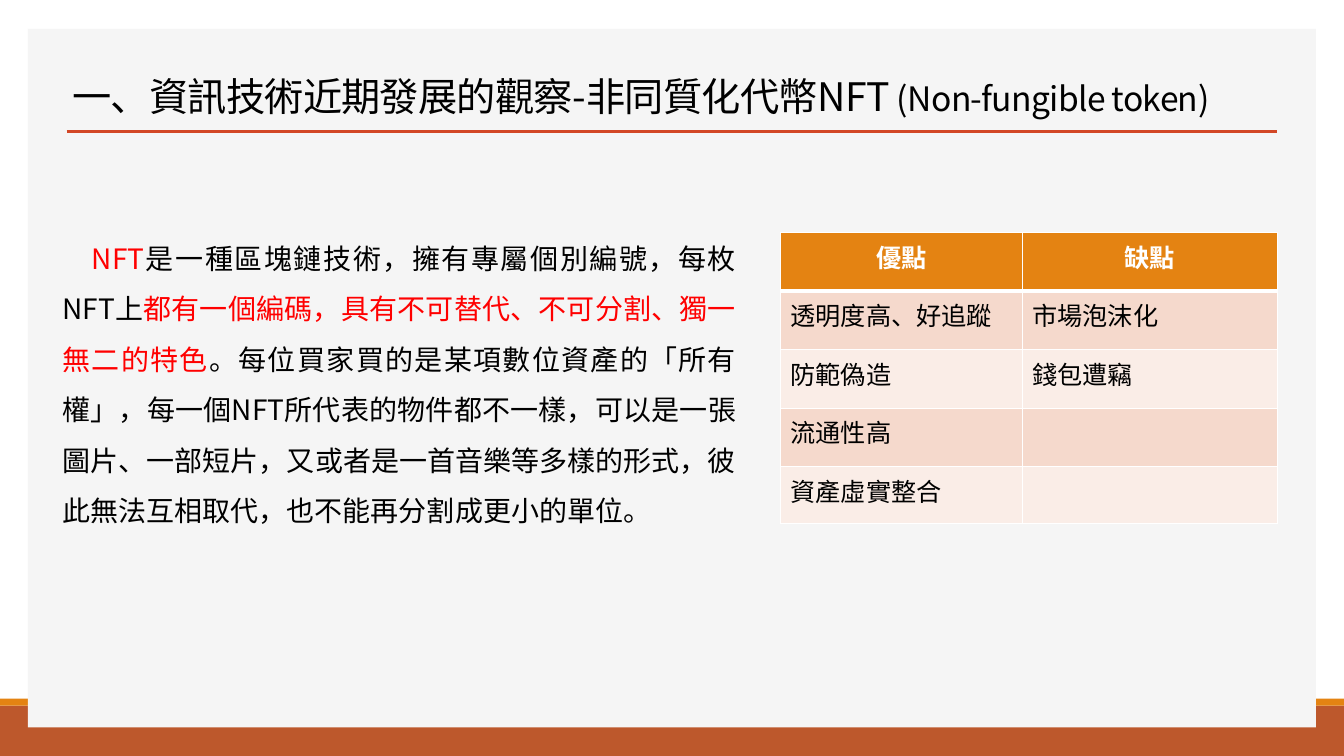
from lxml import etree
from pptx import Presentation
from pptx.dml.color import RGBColor
from pptx.enum.shapes import MSO_CONNECTOR, MSO_SHAPE
from pptx.enum.text import MSO_ANCHOR, MSO_AUTO_SIZE, PP_ALIGN
from pptx.oxml.ns import qn
from pptx.util import Pt

RECT = MSO_SHAPE.RECTANGLE
STRAIGHT = MSO_CONNECTOR.STRAIGHT
BOTTOM = MSO_ANCHOR.BOTTOM
NO_FIT = MSO_AUTO_SIZE.NONE
LEFT, CENTER, JUSTIFY = PP_ALIGN.LEFT, PP_ALIGN.CENTER, PP_ALIGN.JUSTIFY

WIDE, HIGH = 960, 540
SC, TC = "Noto Sans CJK SC", "Noto Sans CJK TC"
BLACK, WHITE, RED = "000000", "FFFFFF", "FF0000"
ORANGE, RUST, GRAY, RULE = "E48312", "BD582C", "F5F5F5", "D24726"
BANDS = ["F5D9CC", "FAEDE7"]

TITLE = [
    ("一、資訊技術近期發展的觀察-非同質化代幣NFT", 28, SC),
    (" (", 24, SC),
    ("Non-fungible token", 24, TC),
    (")", 24, SC),
]
BODY = [
    ("NFT", RED),
    ("是一種區塊鏈技術，擁有專屬個別編號，每枚NFT上", BLACK),
    ("都有一個編碼，具有不可替代、不可分割、獨一無二的特色", RED),
    ("。每位買家買的是某項數位資產的「所有權」，每一個NFT所代表的物件都不一樣，"
     "可以是一張圖片、一部短片，又或者是一首音樂等多樣的形式，"
     "彼此無法互相取代，也不能再分割成更小的單位。", BLACK),
]
ROWS = [
    ("優點", "缺點"),
    ("透明度高、好追蹤", "市場泡沫化"),
    ("防範偽造", "錢包遭竊"),
    ("流通性高", ""),
    ("資產虛實整合", ""),
]


def paint(target, color):
    target.solid()
    target.fore_color.rgb = RGBColor.from_string(color)


def style(run, size, color, font=SC, bold=False):
    """Format a run, with the same font for Latin and East Asian text."""
    run.font.size = Pt(size)
    run.font.bold = bold
    run.font.name = font
    run.font.color.rgb = RGBColor.from_string(color)
    props = run.font._element
    props.find(qn("a:latin")).addnext(
        props.makeelement(qn("a:ea"), {"typeface": font}))


def add_run(para, text, *look):
    run = para.add_run()
    run.text = text
    style(run, *look)
    return run


def add_bar(slide, left, top, width, height, color):
    bar = slide.shapes.add_shape(
        RECT, Pt(left), Pt(top), Pt(width), Pt(height))
    bar.shadow.inherit = False
    paint(bar.fill, color)
    bar.line.fill.background()


def add_rule(slide, left, right, top):
    rule = slide.shapes.add_connector(
        STRAIGHT, Pt(left), Pt(top), Pt(right), Pt(top))
    rule.line.width = Pt(2)
    rule.line.color.rgb = RGBColor.from_string(RULE)
    etree.SubElement(rule.element.spPr, qn("a:effectLst"))


def set_title(slide):
    title = slide.shapes.title
    title.element.getparent().append(title.element)
    title.left, title.top = Pt(44.6), Pt(38.9)
    title.width, title.height = Pt(867.6), Pt(50.4)
    frame = title.text_frame
    frame.auto_size = NO_FIT
    frame.vertical_anchor = BOTTOM
    para = frame.paragraphs[0]
    para.alignment = LEFT
    para.line_spacing = 0.85
    for text, size, font in TITLE:
        run = add_run(para, text, size, BLACK, font)
        run.font._element.set("spc", "-50")


def add_body(slide):
    box = slide.shapes.add_textbox(Pt(37.5), Pt(157), Pt(495.4), Pt(225.4))
    box.text_frame.word_wrap = True
    para = box.text_frame.paragraphs[0]
    para.alignment = JUSTIFY
    para.line_spacing = 1.5
    para._p.get_or_add_pPr().set("indent", str(Pt(21)))
    for text, color in BODY:
        add_run(para, text, 20, color)


def add_edge(cell, side, width):
    line = etree.SubElement(
        cell._tc.get_or_add_tcPr(), qn("a:ln" + side), w=str(Pt(width)))
    fill = etree.SubElement(line, qn("a:solidFill"))
    etree.SubElement(fill, qn("a:srgbClr"), val=WHITE)


def fill_cell(cell, text, row):
    head = row == 0
    for side in "LRTB":
        thick = (side, row) in (("B", 0), ("T", 1))
        add_edge(cell, side, 3 if thick else 1)
    paint(cell.fill, ORANGE if head else BANDS[(row - 1) % 2])
    if text:
        para = cell.text_frame.paragraphs[0]
        para.alignment = CENTER if head else LEFT
        add_run(para, text, 18, WHITE if head else BLACK, SC, head)


def add_grid(slide):
    widths, heights = [172.8, 182.2], [41.8] * 4 + [40.3]
    grid = slide.shapes.add_table(
        len(ROWS), len(widths), Pt(557.4), Pt(166.3),
        Pt(sum(widths)), Pt(sum(heights))).table
    for col, width in zip(grid.columns, widths):
        col.width = Pt(width)
    for row, height in zip(grid.rows, heights):
        row.height = Pt(height)
    for r, texts in enumerate(ROWS):
        for c, text in enumerate(texts):
            fill_cell(grid.cell(r, c), text, r)


def main():
    deck = Presentation()
    deck.slide_width, deck.slide_height = Pt(WIDE), Pt(HIGH)
    slide = deck.slides.add_slide(deck.slide_layouts[5])
    add_bar(slide, 0, 504, WIDE, 36, RUST)
    add_bar(slide, 0, 499, WIDE, 5, ORANGE)
    add_bar(slide, 20, 20.6, 920, 499, GRAY)
    add_rule(slide, 47.7, 912.3, 94)
    set_title(slide)
    add_body(slide)
    add_grid(slide)
    deck.save("out.pptx")


if __name__ == "__main__":
    main()
